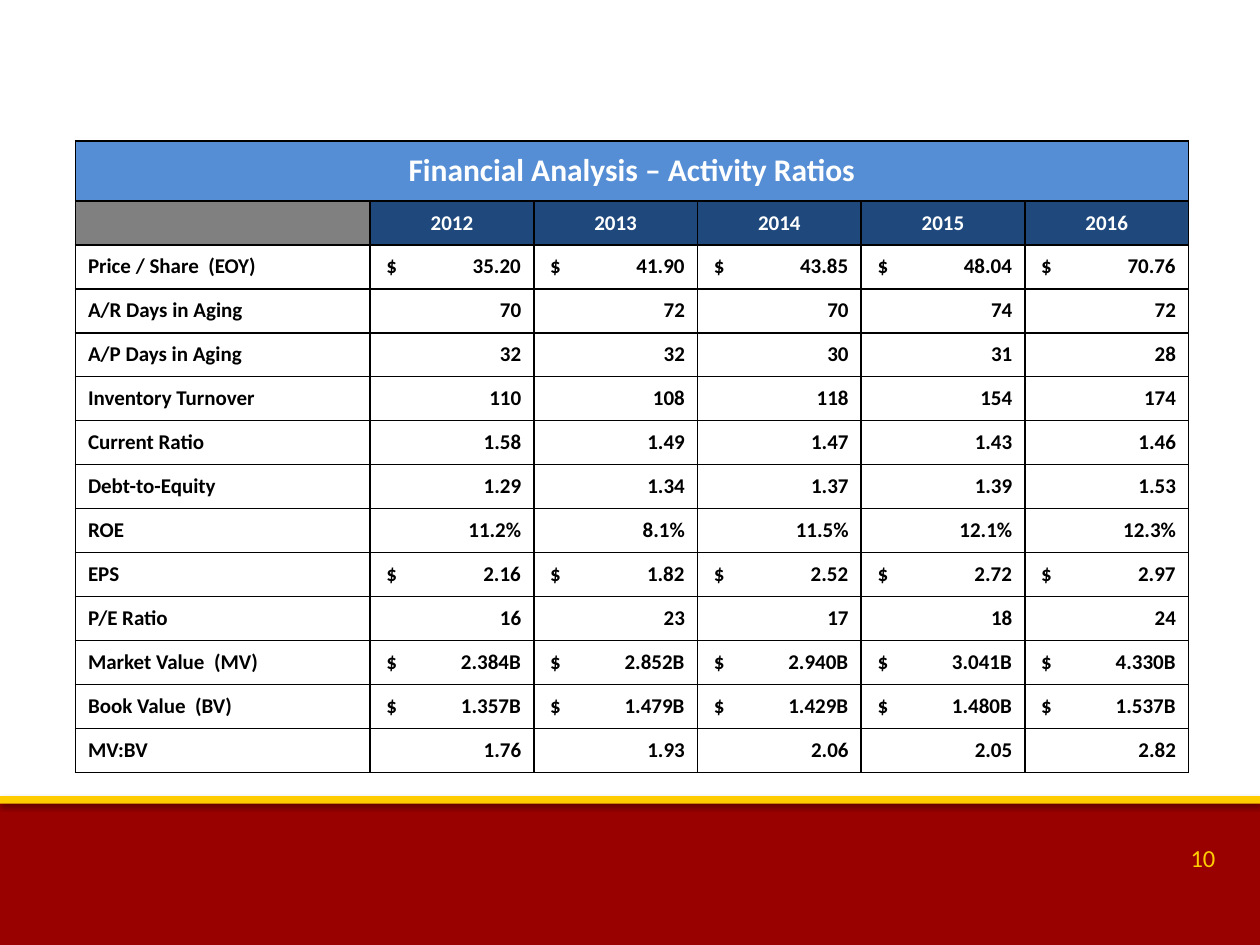
"""Build the activity ratios slide: a table of yearly figures above a footer band."""
from dataclasses import dataclass

from lxml import etree
from pptx import Presentation
from pptx.dml.color import RGBColor
from pptx.enum.shapes import MSO_SHAPE
from pptx.enum.text import MSO_ANCHOR, PP_ALIGN
from pptx.oxml.ns import qn
from pptx.util import Cm, Pt

RECTANGLE = MSO_SHAPE.RECTANGLE
MIDDLE = MSO_ANCHOR.MIDDLE
LEFT, CENTER, RIGHT = PP_ALIGN.LEFT, PP_ALIGN.CENTER, PP_ALIGN.RIGHT


@dataclass(frozen=True)
class Theme:
    font: str = "Calibri"
    title_size: int = 18
    number_size: int = 14
    body_size: int = 12
    red: str = "990000"
    gold: str = "FFCC00"
    title_blue: str = "558ED5"
    year_blue: str = "1F497D"
    gray: str = "808080"
    white: str = "FFFFFF"
    black: str = "000000"


THEME = Theme()
TITLE = "Financial Analysis – Activity Ratios"
YEARS = ["2012", "2013", "2014", "2015", "2016"]
RATIOS = [
    ("Price / Share  (EOY)", "$", "35.20 41.90 43.85 48.04 70.76"),
    ("A/R Days in Aging", "", "70 72 70 74 72"),
    ("A/P Days in Aging", "", "32 32 30 31 28"),
    ("Inventory Turnover", "", "110 108 118 154 174"),
    ("Current Ratio", "", "1.58 1.49 1.47 1.43 1.46"),
    ("Debt-to-Equity", "", "1.29 1.34 1.37 1.39 1.53"),
    ("ROE", "", "11.2% 8.1% 11.5% 12.1% 12.3%"),
    ("EPS", "$", "2.16 1.82 2.52 2.72 2.97"),
    ("P/E Ratio", "", "16 23 17 18 24"),
    ("Market Value  (MV)", "$", "2.384B 2.852B 2.940B 3.041B 4.330B"),
    ("Book Value  (BV)", "$", "1.357B 1.479B 1.429B 1.480B 1.537B"),
    ("MV:BV", "", "1.76 1.93 2.06 2.05 2.82"),
]
TABLE_HEIGHT, TITLE_HEIGHT = 12.73, 1.21
LABEL_WIDTH, YEAR_WIDTH = 5.94, 3.3
CURRENCY_INSET, AMOUNT_TAB = 0.33, 2.71


def write_text(frame, text, *, size=THEME.body_size, color=THEME.black, bold=True, align=LEFT):
    """Write one formatted paragraph into a text frame and return it."""
    para = frame.paragraphs[0]
    para.alignment = align
    span = para.add_run()
    span.text = text
    span.font.name = THEME.font
    span.font.size = Pt(size)
    span.font.bold = bold
    span.font.color.rgb = RGBColor.from_string(color)
    return para


def add_shadow(shape, *, blur, distance, opacity):
    """Give a shape a soft black shadow that falls straight down."""
    shape.shadow.inherit = False
    effects = shape.element.spPr.find(qn("a:effectLst"))
    shadow = etree.SubElement(effects, qn("a:outerShdw"), blurRad=str(Pt(blur)),
                              dist=str(Pt(distance)), dir="5400000", rotWithShape="0")
    color = etree.SubElement(shadow, qn("a:srgbClr"), val=THEME.black)
    etree.SubElement(color, qn("a:alpha"), val=str(opacity * 1000))


def add_band(page, top, height, color, **shadow):
    """Add a full-width band with a shadow."""
    band = page.shapes.add_shape(RECTANGLE, Cm(0), Cm(top), Cm(25.4), Cm(height))
    band.fill.solid()
    band.fill.fore_color.rgb = RGBColor.from_string(color)
    band.line.fill.background()
    add_shadow(band, **shadow)


def add_page_number(page, number):
    """Add the page number on the footer band."""
    box = page.shapes.add_textbox(Cm(23.75), Cm(16.87), Cm(1.09), Cm(0.86))
    box.text_frame.word_wrap = False
    write_text(box.text_frame, number, size=THEME.number_size, color=THEME.gold, bold=False)


def style_cell(cell, fill=None):
    """Set the borders, fill and anchor of a cell."""
    cell.vertical_anchor = MIDDLE
    cell.margin_top = cell.margin_bottom = Cm(0)
    properties = cell._tc.get_or_add_tcPr()
    for side in ("a:lnL", "a:lnR", "a:lnT", "a:lnB"):
        line = etree.SubElement(properties, qn(side), w=str(Pt(1)))
        paint = etree.SubElement(line, qn("a:solidFill"))
        etree.SubElement(paint, qn("a:srgbClr"), val=THEME.black)
    if fill:
        cell.fill.solid()
        cell.fill.fore_color.rgb = RGBColor.from_string(fill)
    else:
        cell.fill.background()


def write_amount(cell, currency, amount):
    """Write a right-aligned figure, with any currency sign at the left edge."""
    if not currency:
        write_text(cell.text_frame, amount, align=RIGHT)
        return
    cell.margin_left = Cm(CURRENCY_INSET)
    para = write_text(cell.text_frame, f"{currency}\t{amount}")
    tabs = etree.SubElement(para._p.get_or_add_pPr(), qn("a:tabLst"))
    etree.SubElement(tabs, qn("a:tab"), pos=str(Cm(AMOUNT_TAB)), algn="r")


def add_ratio_table(page):
    """Add the table with its title, years and ratios."""
    row_count, column_count = len(RATIOS) + 2, len(YEARS) + 1
    width = LABEL_WIDTH + YEAR_WIDTH * len(YEARS)
    table = page.shapes.add_table(row_count, column_count, Cm(1.52), Cm(2.84),
                                  Cm(width), Cm(TABLE_HEIGHT)).table
    table.first_row = table.horz_banding = False
    for index, column in enumerate(table.columns):
        column.width = Cm(YEAR_WIDTH if index else LABEL_WIDTH)
    row_height = (TABLE_HEIGHT - TITLE_HEIGHT) / (row_count - 1)
    for index, row in enumerate(table.rows):
        row.height = Cm(row_height if index else TITLE_HEIGHT)

    heading_fills = [THEME.gray] + [THEME.year_blue] * len(YEARS)
    for column in range(column_count):
        style_cell(table.cell(0, column), THEME.title_blue)
        style_cell(table.cell(1, column), heading_fills[column])
    title = table.cell(0, 0)
    title.merge(table.cell(0, column_count - 1))
    write_text(title.text_frame, TITLE, size=THEME.title_size, color=THEME.white, align=CENTER)
    for column, year in enumerate(YEARS, 1):
        write_text(table.cell(1, column).text_frame, year, color=THEME.white, align=CENTER)

    for row, (label, currency, amounts) in enumerate(RATIOS, 2):
        style_cell(table.cell(row, 0))
        write_text(table.cell(row, 0).text_frame, label)
        for column, amount in enumerate(amounts.split(), 1):
            style_cell(table.cell(row, column))
            write_amount(table.cell(row, column), currency, amount)


def main():
    """Build and save the deck."""
    deck = Presentation()
    deck.slide_width, deck.slide_height = Cm(25.4), Cm(19.05)
    page = deck.slides.add_slide(deck.slide_layouts[6])
    add_band(page, 16.13, 2.92, THEME.red, blur=3.1, distance=1.8, opacity=35)
    add_band(page, 16.05, 0.15, THEME.gold, blur=3.1, distance=1.6, opacity=38)
    add_page_number(page, "10")
    add_ratio_table(page)
    deck.save("out.pptx")


if __name__ == "__main__":
    main()
